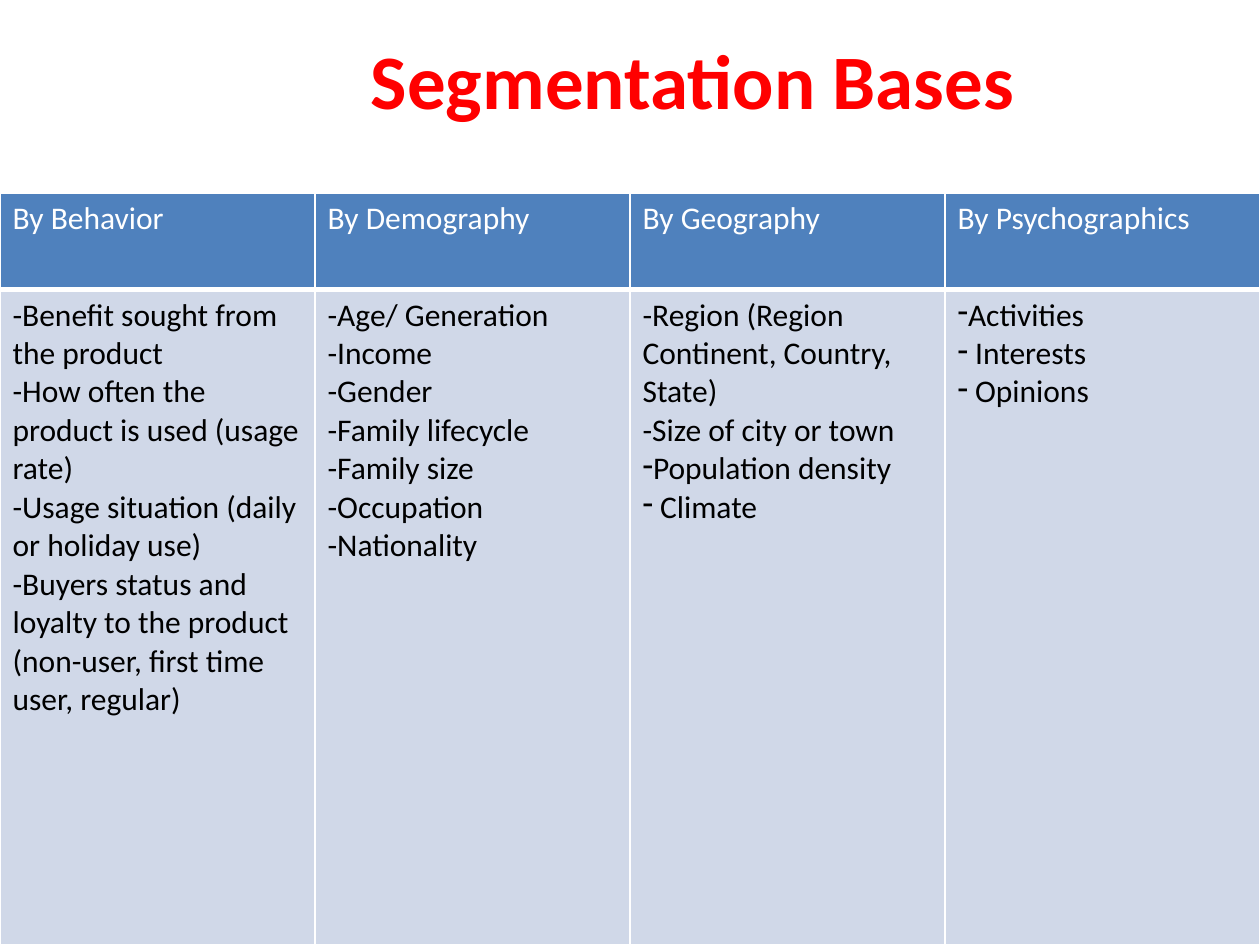
import dataclasses

import lxml.etree
import pptx
import pptx.dml.color
import pptx.enum.text
import pptx.oxml.ns
import pptx.util


@dataclasses.dataclass(frozen=True)
class Theme:
    font: str = "Calibri"
    title_color: str = "FF0000"
    header_fill: str = "4F81BD"
    header_color: str = "FFFFFF"
    body_fill: str = "D0D8E8"
    body_color: str = "000000"
    border_color: str = "FFFFFF"
    title_size: int = 44
    table_size: int = 18
    thin_border: int = 1
    header_rule: int = 3


THEME = Theme()
SLIDE_WIDTH, SLIDE_HEIGHT = 10, 7.5
TITLE_BOX = (1, 0, 9, 1.25)
TABLE_BOX = (0, 1.53, 10, 5.97)
HEADER_HEIGHT = 0.77
BULLET = "•"  # marks items whose dash is a real bullet character

SEGMENTATION_BASES = {
    "By Behavior": [
        "-Benefit sought from the product",
        "-How often the product is used (usage rate)",
        "-Usage situation (daily or holiday use)",
        "-Buyers status and loyalty to the product "
        "(non-user, first time user, regular)",
    ],
    "By Demography": [
        "-Age/ Generation",
        "-Income",
        "-Gender",
        "-Family lifecycle",
        "-Family size",
        "-Occupation",
        "-Nationality",
    ],
    "By Geography": [
        "-Region (Region Continent, Country, State)",
        "-Size of city or town",
        BULLET + "Population density",
        BULLET + " Climate",
    ],
    "By Psychographics": [
        BULLET + "Activities",
        BULLET + " Interests",
        BULLET + " Opinions",
    ],
}


def rgb(color):
    return pptx.dml.color.RGBColor.from_string(color)


def inches(box):
    return [pptx.util.Inches(length) for length in box]


def add_element(parent, tag, **attributes):
    return lxml.etree.SubElement(parent, pptx.oxml.ns.qn(tag), attributes)


def write_run(paragraph, text, size, color, bold=False):
    run = paragraph.add_run()
    run.text = text
    formats = {"name": THEME.font, "size": pptx.util.Pt(size), "bold": bold}
    for name, value in formats.items():
        setattr(run.font, name, value)
    run.font.color.rgb = rgb(color)


def add_dash_bullet(paragraph):
    properties = paragraph._p.get_or_add_pPr()
    for name in ("marL", "indent"):
        properties.set(name, "0")
    add_element(properties, "a:buChar", char="-")


def set_borders(cell, bottom_width):
    properties = cell._tc.get_or_add_tcPr()
    widths = dict.fromkeys(("a:lnL", "a:lnR", "a:lnT"), THEME.thin_border)
    widths["a:lnB"] = bottom_width
    for tag, width in widths.items():
        line = add_element(properties, tag, w=str(pptx.util.Pt(width)))
        fill = add_element(line, "a:solidFill")
        add_element(fill, "a:srgbClr", val=THEME.border_color)


def fill_cell(cell, lines, fill, color, bottom_width):
    set_borders(cell, bottom_width)
    cell.fill.solid()
    cell.fill.fore_color.rgb = rgb(fill)
    frame = cell.text_frame
    for index, line in enumerate(lines):
        paragraph = frame.add_paragraph() if index else frame.paragraphs[0]
        if line.startswith(BULLET):
            add_dash_bullet(paragraph)
        write_run(paragraph, line.removeprefix(BULLET), THEME.table_size, color)


def add_title(slide, box, text):
    frame = slide.shapes.add_textbox(*inches(box)).text_frame
    formats = {
        "word_wrap": True,
        "vertical_anchor": pptx.enum.text.MSO_ANCHOR.MIDDLE,
    }
    for name, value in formats.items():
        setattr(frame, name, value)
    paragraph = frame.paragraphs[0]
    paragraph.alignment = pptx.enum.text.PP_ALIGN.CENTER
    write_run(paragraph, text, THEME.title_size, THEME.title_color, bold=True)


def add_bases_table(slide, box, bases):
    """Add one equal column per base: a heading over its list of variables."""
    table = slide.shapes.add_table(2, len(bases), *inches(box)).table
    for row, height in zip(table.rows, (HEADER_HEIGHT, box[3] - HEADER_HEIGHT)):
        row.height = pptx.util.Inches(height)
    for column, (heading, variables) in enumerate(bases.items()):
        table.columns[column].width = pptx.util.Inches(box[2] / len(bases))
        fill_cell(table.cell(0, column), [heading], THEME.header_fill,
                  THEME.header_color, THEME.header_rule)
        fill_cell(table.cell(1, column), variables, THEME.body_fill,
                  THEME.body_color, THEME.thin_border)


def main():
    presentation = pptx.Presentation()
    presentation.slide_width = pptx.util.Inches(SLIDE_WIDTH)
    presentation.slide_height = pptx.util.Inches(SLIDE_HEIGHT)
    slide = presentation.slides.add_slide(presentation.slide_layouts[6])
    add_title(slide, TITLE_BOX, "Segmentation Bases")
    add_bases_table(slide, TABLE_BOX, SEGMENTATION_BASES)
    presentation.save("out.pptx")


if __name__ == "__main__":
    main()
